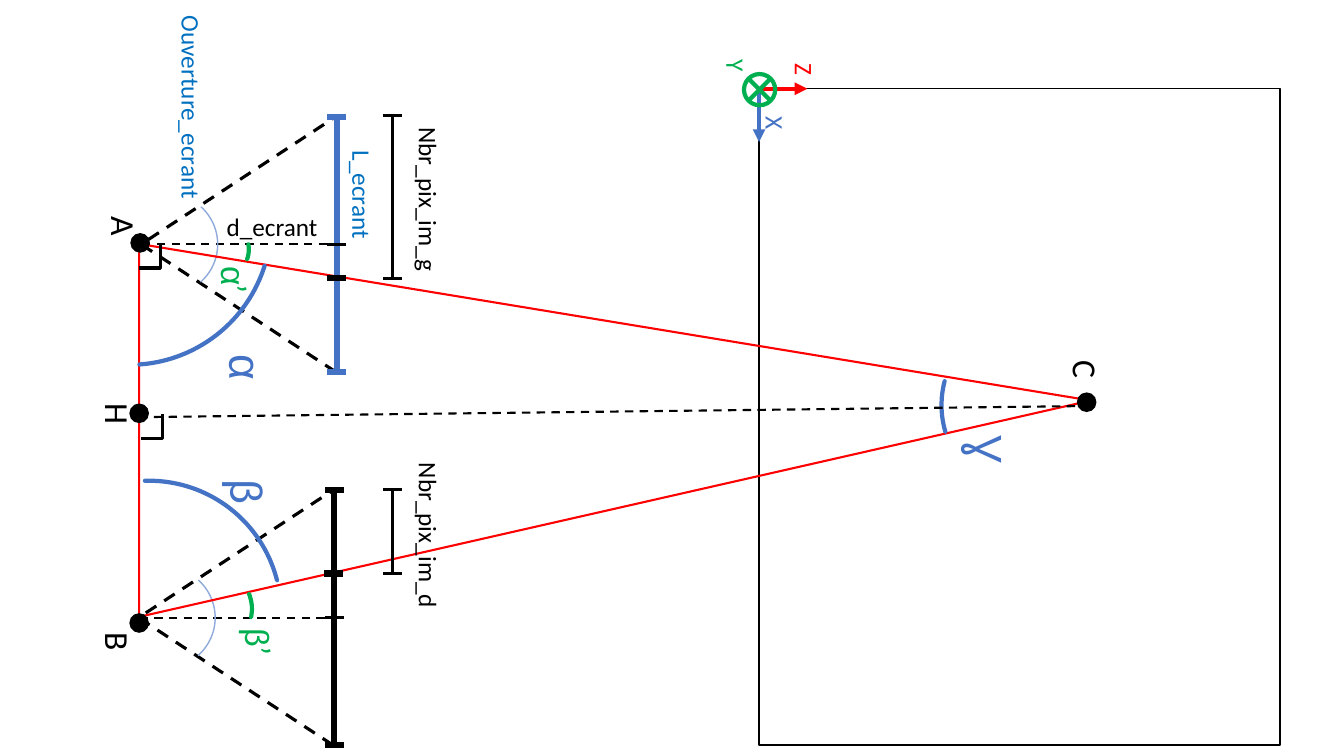
from dataclasses import dataclass
from typing import Optional

from lxml.etree import SubElement
from pptx import Presentation
from pptx.dml.color import RGBColor
from pptx.enum.dml import MSO_LINE
from pptx.enum.shapes import MSO_CONNECTOR, MSO_SHAPE
from pptx.enum.text import MSO_AUTO_SIZE
from pptx.oxml.ns import qn
from pptx.util import Pt

BLACK = RGBColor(0x00, 0x00, 0x00)
RED = RGBColor(0xFF, 0x00, 0x00)
GREEN = RGBColor(0x00, 0xB0, 0x50)
BLUE = RGBColor(0x44, 0x72, 0xC4)
PALE_BLUE = RGBColor(0x8F, 0xAA, 0xDC)
SCREEN_BLUE = RGBColor(0x00, 0x70, 0xC0)


@dataclass
class Camera:
    screen_x: float
    mid_y: float
    color: RGBColor


@dataclass
class Arc:
    x: float
    y: float
    size: float
    rotation: float
    start: float
    end: float
    color: RGBColor
    weight: float = 3


@dataclass
class Label:
    text: str
    x: float
    y: float
    w: float
    h: float
    size: float = 18
    color: RGBColor = BLACK
    font: str = "Calibri"
    rotation: float = 90
    prime_font: Optional[str] = None


CAMERAS = [Camera(240.5, 174.5, BLUE), Camera(238.7, 441.2, BLACK)]
POINTS = [(100.1, 173.5), (99.4, 445), (776.2, 287.3), (99.4, 295.2)]
ANGLES = [
    Arc(123.8, 406.8, 56.2, 10.4, 196.28, 1.2, GREEN),
    Arc(136.8, 157.7, 41, 18.1, 199.04, 1.2, GREEN),
    Arc(-8.6, 58.3, 202.3, 84, 176.11, 1.2, BLUE),
    Arc(12.2, 343.4, 188.6, 334.7, 176.11, 6.66, BLUE),
    Arc(672.5, 222.5, 133.9, 192, 198.87, 1.74, BLUE),
]
GAUGES = [(82.8, 198.7), (349.9, 409.7)]
HITS = [(240.1, 198.7), (238.3, 409.7)]
RIGHT_ANGLES = [(115.9, 295.9), (114.5, 174.2)]
LABELS = [
    Label("Z", 563.8, 35.3, 22.3, 28.8, color=RED),
    Label("X", 542.9, 72.7, 22.3, 28.8, color=BLUE),
    Label("Y", 514.8, 32.4, 22.3, 28.8, color=GREEN),
    Label("A", 72.7, 145.4, 32.4, 36, 24),
    Label("B", 68.4, 442.8, 32.4, 36, 24),
    Label("C", 759.6, 248.4, 32.4, 36, 24),
    Label("H", 68.4, 279.4, 32.4, 36, 24),
    Label("β", 162, 327.6, 30.2, 46.1, 32, BLUE, "Lato"),
    Label("α", 161.3, 238.3, 30.2, 46.1, 32, BLUE, "Arial"),
    Label("Ɣ", 690.5, 295.9, 30.2, 46.1, 32, BLUE, "Arial"),
    Label("β’", 151.9, 456.5, 65.5, 36, 24, GREEN, "Lato"),
    Label("α", 142.6, 190.1, 49.7, 36, 24, GREEN, "Arial", prime_font="Lato"),
    Label("Nbr_pix_im_g", 236.9, 139, 139, 28.8),
    Label("Nbr_pix_im_d", 236.9, 378.7, 139, 28.8),
    Label("L_ecrant", 189.4, 155.5, 139, 28.8, color=SCREEN_BLUE),
    Label("d_ecrant", 154.8, 147.6, 139, 28.8, rotation=0),
    Label("Ouverture_ecrant", 40.3, 86.4, 193, 28.8, color=SCREEN_BLUE),
]


def set_line(sp, color: RGBColor, weight: float, dashed: bool = False) -> None:
    sp.line.color.rgb = color
    sp.line.width = Pt(weight)
    if dashed:
        sp.line.dash_style = MSO_LINE.DASH


def add_line(shapes, x1: float, y1: float, x2: float, y2: float, color: RGBColor,
             weight: float, dashed: bool = False, arrow: bool = False) -> None:
    c = shapes.add_connector(MSO_CONNECTOR.STRAIGHT, Pt(x1), Pt(y1), Pt(x2), Pt(y2))
    set_line(c, color, weight, dashed)
    if arrow:
        SubElement(c.line._get_or_add_ln(), qn("a:tailEnd"), type="triangle")
    SubElement(c._element.spPr, qn("a:effectLst"))


def add_outline(shapes, kind: MSO_SHAPE, x: float, y: float, w: float, h: float,
                color: RGBColor, weight: float, dashed: bool = False,
                rotation: float = 0, fill: Optional[RGBColor] = None,
                adjustments: tuple = ()) -> None:
    sp = shapes.add_shape(kind, Pt(x), Pt(y), Pt(w), Pt(h))
    sp.shadow.inherit = False
    sp.rotation = rotation
    for i, value in enumerate(adjustments):
        sp.adjustments[i] = value
    if fill is None:
        sp.fill.background()
    else:
        sp.fill.solid()
        sp.fill.fore_color.rgb = fill
    set_line(sp, color, weight, dashed)


def add_arc(shapes, arc: Arc) -> None:
    add_outline(shapes, MSO_SHAPE.BLOCK_ARC, arc.x, arc.y, arc.size, arc.size,
                arc.color, arc.weight, rotation=arc.rotation, fill=BLUE,
                adjustments=(arc.start, arc.end, 0))


def add_tick(shapes, x: float, y: float, color: RGBColor, weight: float) -> None:
    add_line(shapes, x + 6.8, y, x - 6.8, y, color, weight)


def add_bar(shapes, x: float, top: float, bottom: float,
            color: RGBColor, weight: float) -> None:
    add_line(shapes, x, top, x, bottom, color, weight)
    for y in (top, bottom):
        add_tick(shapes, x, y, color, weight)


def add_camera(s, camera: Camera) -> None:
    shapes = s.shapes.add_group_shape().shapes
    x, y, half, depth = camera.screen_x, camera.mid_y, 91.1, 139
    add_outline(shapes, MSO_SHAPE.ISOSCELES_TRIANGLE, x - depth / 2 - half - 0.7,
                y - depth / 2, 2 * half, depth, BLACK, 2.25, True, 270)
    add_bar(shapes, x, y - half, y + half, camera.color, 4.5)
    add_tick(shapes, x, y, BLACK, 2.25)
    add_line(shapes, x - depth, y, x, y, BLACK, 1.5, True)
    add_arc(shapes, Arc(x - 157, y - 36, 72, 46.3, 159.62, 1.2, PALE_BLUE, 1))


def add_right_angle(s, x: float, y: float) -> None:
    fb = s.shapes.build_freeform(Pt(x), Pt(y))
    fb.add_line_segments([(Pt(x), Pt(y + 17.3)), (Pt(x - 15.1), Pt(y + 17.3))], close=False)
    sp = fb.convert_to_shape()
    sp.shadow.inherit = False
    sp.fill.background()
    set_line(sp, BLACK, 2.25)


def add_run(p, text: str, *, font: str, size: float, color: RGBColor) -> None:
    r = p.add_run()
    r.text = text
    r.font.name = font
    r.font.size = Pt(size)
    r.font.color.rgb = color


def add_label(s, label: Label) -> None:
    sp = s.shapes.add_textbox(Pt(label.x), Pt(label.y), Pt(label.w), Pt(label.h))
    sp.rotation = label.rotation
    tf = sp.text_frame
    tf.word_wrap = True
    tf.auto_size = MSO_AUTO_SIZE.SHAPE_TO_FIT_TEXT
    p = tf.paragraphs[0]
    add_run(p, label.text, font=label.font, size=label.size, color=label.color)
    if label.prime_font:
        add_run(p, "’", font=label.prime_font, size=label.size, color=label.color)


def main() -> None:
    prs = Presentation()
    prs.slide_width, prs.slide_height = Pt(960), Pt(540)
    s = prs.slides.add_slide(prs.slide_layouts[6])
    for camera in CAMERAS:
        add_camera(s, camera)
    add_outline(s.shapes, MSO_SHAPE.RECTANGLE, 542.2, 63.4, 372.2, 468.7, BLACK, 1)
    add_line(s.shapes, 540.7, 63.4, 576.7, 63.4, RED, 3, arrow=True)
    add_line(s.shapes, 542.2, 61.9, 542.2, 101.5, BLUE, 3, arrow=True)
    add_outline(s.shapes, MSO_SHAPE.FLOWCHART_SUMMING_JUNCTION,
                531.4, 52.9, 22.3, 22.3, GREEN, 3)
    add_outline(s.shapes, MSO_SHAPE.ISOSCELES_TRIANGLE, 306, -32.4, 266.4, 679.7,
                RED, 1.5, rotation=90, adjustments=(0.42,))
    for x, y in POINTS:
        add_outline(s.shapes, MSO_SHAPE.FLOWCHART_CONNECTOR, x - 6.5, y - 6.5, 13, 13,
                    BLACK, 1, fill=BLACK)
    for arc in ANGLES:
        add_arc(s.shapes, arc)
    add_line(s.shapes, 99.4, 298, 778.3, 290, BLACK, 1.5, True)
    for x, y in HITS:
        add_tick(s.shapes, x, y, BLACK, 4.5)
    for top, bottom in GAUGES:
        add_bar(s.shapes.add_group_shape().shapes, 280.1, top, bottom, BLACK, 2.25)
    for x, y in RIGHT_ANGLES:
        add_right_angle(s, x, y)
    for label in LABELS:
        add_label(s, label)
    prs.save("out.pptx")


if __name__ == "__main__":
    main()
